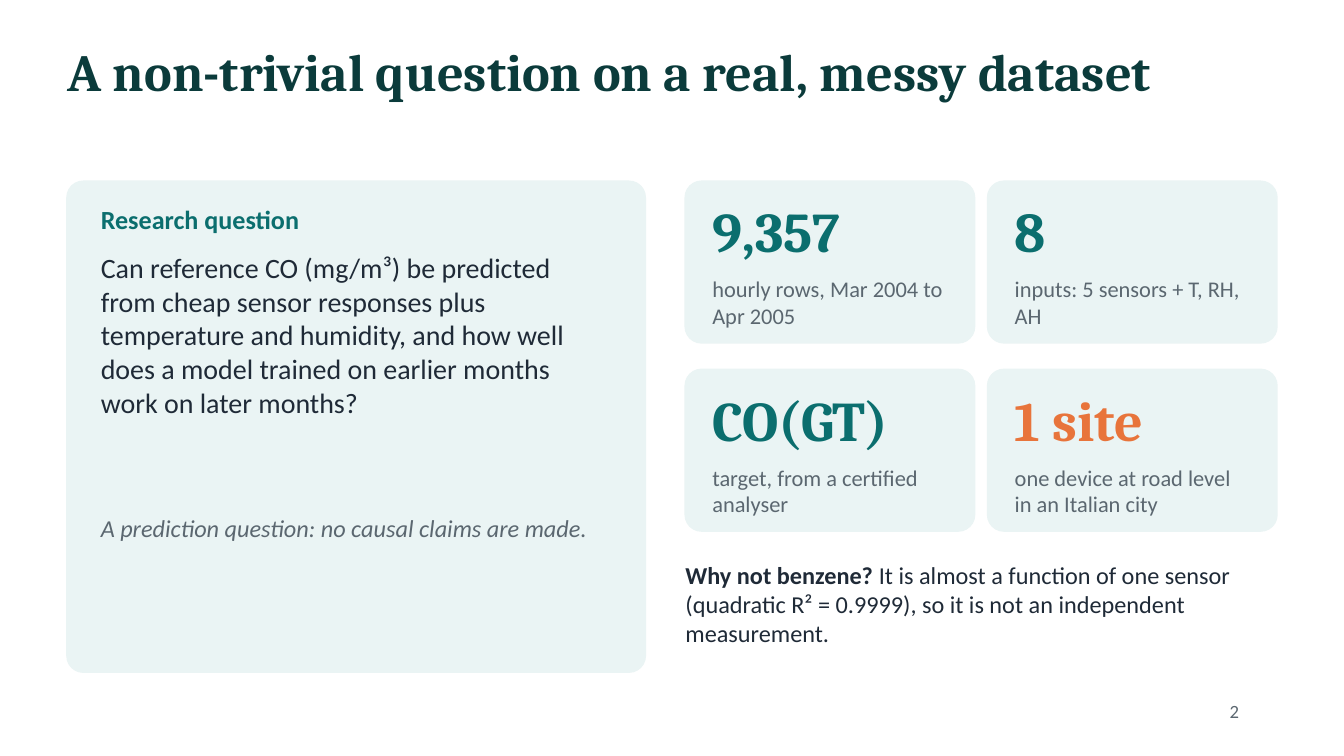
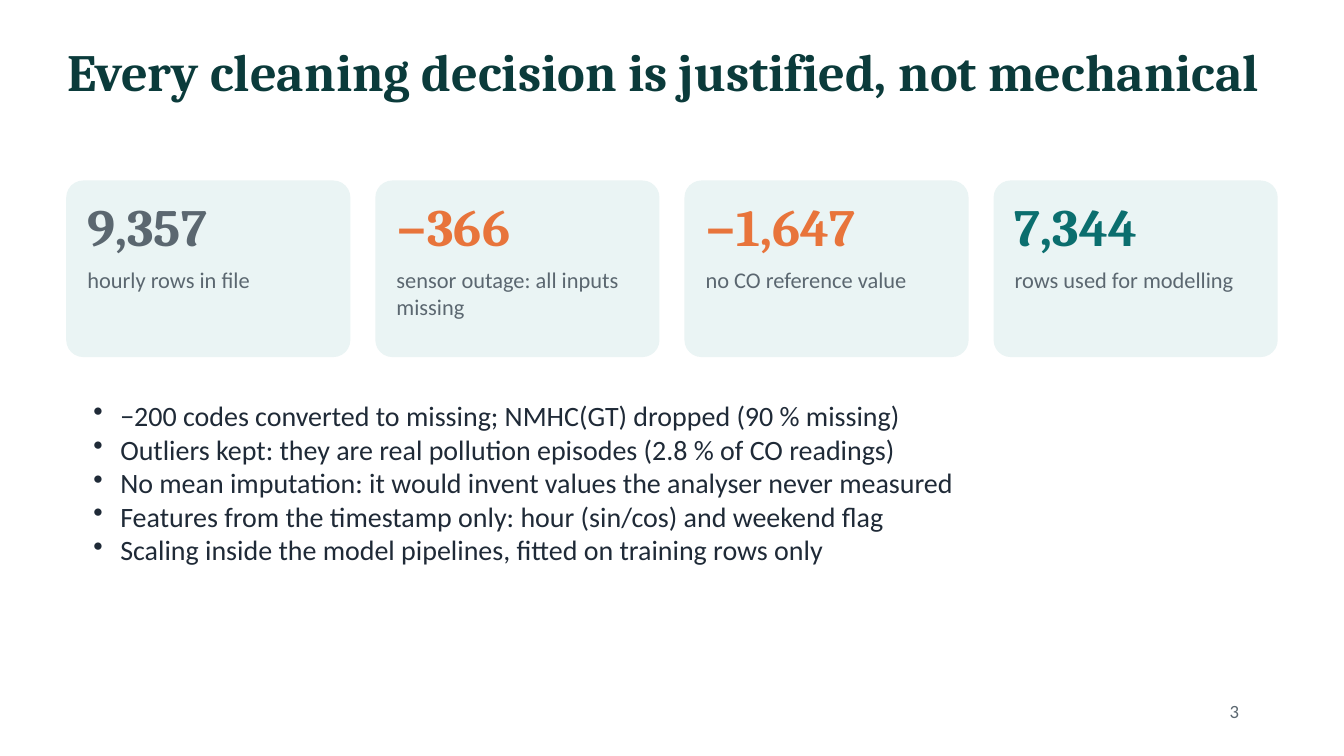
from lxml import etree
from pptx import Presentation
from pptx.dml.color import RGBColor
from pptx.enum.shapes import MSO_SHAPE
from pptx.enum.text import MSO_ANCHOR, MSO_AUTO_SIZE, PP_ALIGN
from pptx.oxml.ns import qn
from pptx.util import Inches, Pt

ROUNDED = MSO_SHAPE.ROUNDED_RECTANGLE
TOP = MSO_ANCHOR.TOP
LEFT = PP_ALIGN.LEFT
NO_AUTOFIT = MSO_AUTO_SIZE.NONE

HEADING_FONT, BODY_FONT = "Cambria", "Calibri"
DARK_TEAL, TEAL, ORANGE = "0B3B3B", "0B6E6E", "E8743B"
INK, GREY, PALE = "1F2A37", "5B6770", "EAF4F4"

MARGIN, CONTENT_TOP, CONTENT_WIDTH = 1, 2.7, 18
CORNER_RADIUS = 0.24
LINE_HEIGHT = 1.2


def color(hex_string):
    """Turn a hex string into a colour."""
    return RGBColor.from_string(hex_string)


def add_bullet(paragraph):
    """Give a paragraph a hanging round bullet."""
    paragraph.level = 1
    properties = paragraph._p.get_or_add_pPr()
    properties.set("marL", str(Inches(0.79)))
    properties.set("indent", str(Inches(-0.4)))
    etree.SubElement(properties, qn("a:buChar")).set("char", "•")


def write_text(shape, text, size, fill, font=BODY_FONT, bold=False,
               italic=False, lead="", bullets=False):
    """Fill a shape with one paragraph per line, after an optional bold lead."""
    frame = shape.text_frame
    frame.word_wrap = True
    frame.auto_size = NO_AUTOFIT
    frame.vertical_anchor = TOP
    frame.margin_left = frame.margin_right = 0
    frame.margin_top = frame.margin_bottom = 0
    for index, line in enumerate(text.split("\n")):
        paragraph = frame.add_paragraph() if index else frame.paragraphs[0]
        if bullets:
            add_bullet(paragraph)
        paragraph.alignment = LEFT
        paragraph.line_spacing = Pt(size * LINE_HEIGHT)
        paragraph.space_before = Pt(0)
        for words, is_bold in ((lead, True), (line, bold)):
            if words:
                run = paragraph.add_run()
                run.text = words
                run.font.name = font
                run.font.size = Pt(size)
                run.font.bold = is_bold
                run.font.italic = italic
                run.font.color.rgb = color(fill)


def add_text(slide, left, top, width, height, text, **text_format):
    """Add a text box with formatted text."""
    shape = slide.shapes.add_textbox(
        Inches(left), Inches(top), Inches(width), Inches(height))
    write_text(shape, text, **text_format)


def add_panel(slide, left, top, width, height):
    """Add a pale panel with rounded corners."""
    panel = slide.shapes.add_shape(
        ROUNDED, Inches(left), Inches(top), Inches(width), Inches(height))
    panel.adjustments[0] = CORNER_RADIUS / min(width, height)
    panel.shadow.inherit = False
    panel.fill.solid()
    panel.fill.fore_color.rgb = color(PALE)
    panel.line.color.rgb = color(PALE)
    panel.line.width = Pt(2)


def add_stat_card(slide, left, top, width, height, figure, caption, accent,
                  size, inset_x, inset_y, caption_offset):
    """Add a panel with a large figure above its caption."""
    add_panel(slide, left, top, width, height)
    text_left, text_width = left + inset_x, width - 2 * inset_x
    add_text(slide, text_left, top + inset_y, text_width, size / 50, figure,
             size=size, fill=accent, font=HEADING_FONT, bold=True)
    add_text(slide, text_left, top + caption_offset, text_width,
             height - caption_offset - 0.15, caption, size=24, fill=GREY)


def add_question_panel(slide, left, top, width, height):
    """Add the research question and its caveat on a panel."""
    add_panel(slide, left, top, width, height)
    text_left, text_width = left + 0.5, width - 1
    add_text(slide, text_left, top + 0.33, text_width, 0.67,
             "Research question", size=28, fill=TEAL, bold=True)
    add_text(slide, text_left, top + 1.03, text_width, 3.47,
             "Can reference CO (mg/m³) be predicted from cheap sensor responses "
             "plus temperature and humidity, and how well does a model trained "
             "on earlier months work on later months?", size=30, fill=INK)
    add_text(slide, text_left, top + 4.94, text_width, 1.86,
             "A prediction question: no causal claims are made.",
             size=26, fill=GREY, italic=True)


def add_titled_slide(presentation, title, number):
    """Add a slide with its title and page number."""
    slide = presentation.slides.add_slide(presentation.slide_layouts[5])
    placeholder = slide.shapes.title
    placeholder.left, placeholder.top = Inches(MARGIN), Inches(0.59)
    placeholder.width, placeholder.height = Inches(CONTENT_WIDTH), Inches(1.81)
    write_text(placeholder, title, size=56, fill=DARK_TEAL,
               font=HEADING_FONT, bold=True)
    add_text(slide, 18.3, 10.41, 0.8, 0.54, str(number), size=20, fill=GREY)
    return slide


def build_question_slide(presentation):
    """Build the slide on the research question and the dataset."""
    slide = add_titled_slide(
        presentation, "A non-trivial question on a real, messy dataset", 2)
    add_question_panel(slide, MARGIN, CONTENT_TOP, 8.6, 7.3)
    dataset_facts = [
        ("9,357", "hourly rows, Mar 2004 to Apr 2005", TEAL),
        ("8", "inputs: 5 sensors + T, RH, AH", TEAL),
        ("CO(GT)", "target, from a certified analyser", TEAL),
        ("1 site", "one device at road level in an Italian city", ORANGE),
    ]
    grid_left = 10.2
    for index, fact in enumerate(dataset_facts):
        row, column = divmod(index, 2)
        add_stat_card(slide, grid_left + 4.5 * column, CONTENT_TOP + 2.8 * row,
                      4.3, 2.4, *fact, size=60, inset_x=0.4, inset_y=0.23,
                      caption_offset=1.4)
    add_text(slide, grid_left, 8.34, 8.8, 1.66,
             "It is almost a function of one sensor (quadratic R² = 0.9999), "
             "so it is not an independent measurement.",
             size=26, fill=INK, lead="Why not benzene? ")


def build_cleaning_slide(presentation):
    """Build the slide on the row counts and the cleaning decisions."""
    slide = add_titled_slide(
        presentation, "Every cleaning decision is justified, not mechanical", 3)
    row_counts = [
        ("9,357", "hourly rows in file", GREY),
        ("−366", "sensor outage: all inputs missing", ORANGE),
        ("−1,647", "no CO reference value", ORANGE),
        ("7,344", "rows used for modelling", TEAL),
    ]
    for column, count in enumerate(row_counts):
        add_stat_card(slide, MARGIN + 4.6 * column, CONTENT_TOP, 4.2, 2.6,
                      *count, size=56, inset_x=0.3, inset_y=0.19,
                      caption_offset=1.26)
    decisions = [
        "−200 codes converted to missing; NMHC(GT) dropped (90 % missing)",
        "Outliers kept: they are real pollution episodes (2.8 % of CO readings)",
        "No mean imputation: it would invent values the analyser never measured",
        "Features from the timestamp only: hour (sin/cos) and weekend flag",
        "Scaling inside the model pipelines, fitted on training rows only",
    ]
    add_text(slide, MARGIN, 5.93, CONTENT_WIDTH, 4.07, "\n".join(decisions),
             size=30, fill=INK, bullets=True)


def main():
    """Build and save the presentation."""
    presentation = Presentation()
    presentation.slide_width = Inches(20)
    presentation.slide_height = Inches(11.25)
    build_question_slide(presentation)
    build_cleaning_slide(presentation)
    presentation.save("out.pptx")


if __name__ == "__main__":
    main()
